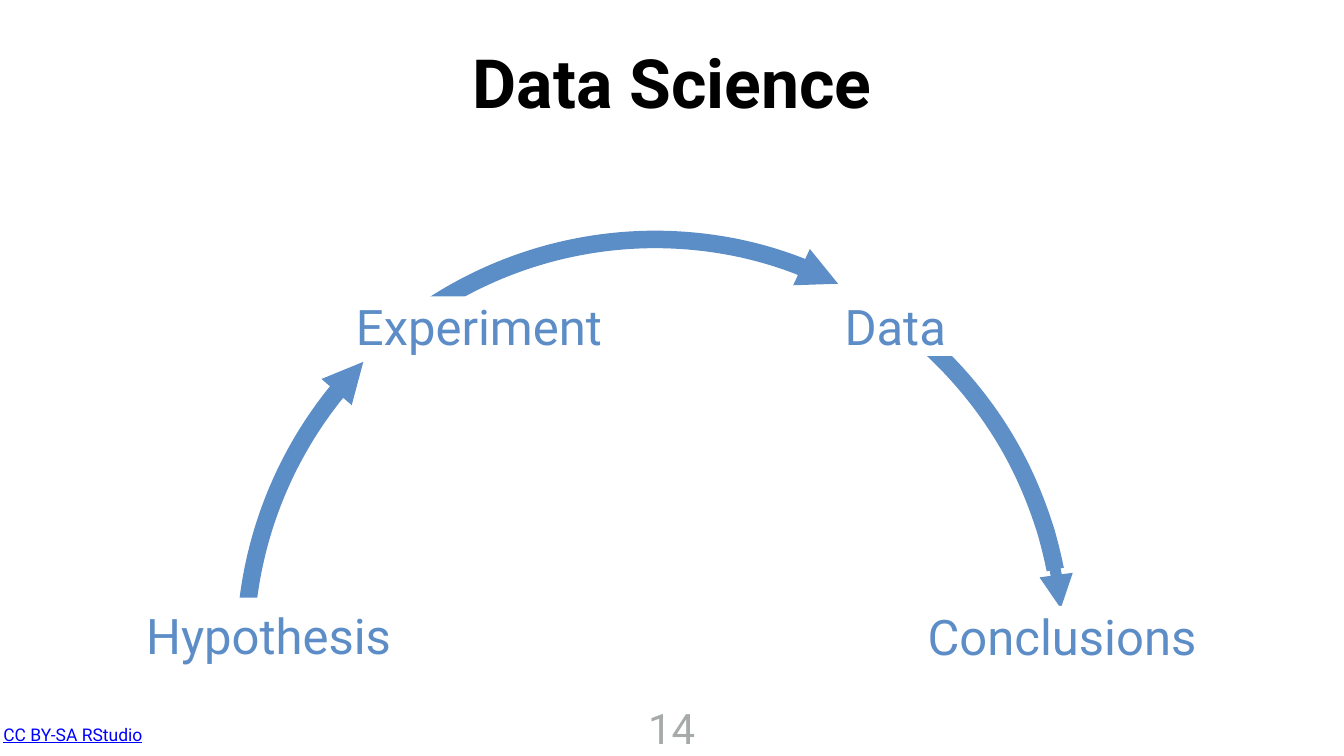
from lxml import etree
from pptx import Presentation
from pptx.dml.color import RGBColor
from pptx.enum import shapes, text
from pptx.oxml.ns import qn
from pptx.util import Inches, Pt

FONT = "Roboto"
WHITE, BLUE, ARC, HEAD = "FFFFFF", "5C8DC6", "5E8FC6", "5E8EC7"


def color(value):
    return RGBColor.from_string(value)


def write(sp, words, size, ink, inset, anchor=text.MSO_ANCHOR.MIDDLE):
    tf = sp.text_frame
    tf.word_wrap = True
    tf.vertical_anchor = anchor
    tf.margin_left = tf.margin_right = tf.margin_top = tf.margin_bottom = Inches(inset)
    p = tf.paragraphs[0]
    p.alignment = text.PP_ALIGN.CENTER
    r = p.add_run()
    r.text = words
    r.font.name, r.font.size = FONT, Pt(size)
    r.font.color.rgb = color(ink)
    return r


def add_text(s, box, *args, grow=False, **options):
    sp = s.shapes.add_textbox(*map(Inches, box))
    r = write(sp, *args, **options)
    if grow:
        sp.text_frame.word_wrap = False
        sp.text_frame.auto_size = text.MSO_AUTO_SIZE.SHAPE_TO_FIT_TEXT
    return r


def add_block(parent, box, rotation=0):
    """Add a white rectangle that hides the arc behind it."""
    sp = parent.shapes.add_shape(shapes.MSO_SHAPE.RECTANGLE, *map(Inches, box))
    sp.shadow.inherit = False
    sp.fill.solid()
    sp.fill.fore_color.rgb = color(WHITE)
    sp.line.fill.background()
    sp.rotation = rotation
    return sp


def add_outline(parent, points, close):
    points = [(Inches(x), Inches(y)) for x, y in points]
    fb = parent.shapes.build_freeform(*points[0], scale=1.0)
    fb.add_line_segments(points[1:], close=close)
    sp = fb.convert_to_shape()
    sp.shadow.inherit = False
    return sp


def bend(sp):
    """Turn each three straight segments into one cubic curve."""
    lines = list(sp._element.iter(qn("a:lnTo")))
    for i in range(0, len(lines), 3):
        curve = etree.Element(qn("a:cubicBezTo"))
        lines[i].addprevious(curve)
        for line in lines[i:i + 3]:
            curve.append(line[0])
            line.getparent().remove(line)


def add_arc(parent, knots, ink, width, arrow=False):
    """Draw a chain of cubic curves; knots holds the start, then three points per curve."""
    sp = add_outline(parent, knots, close=False)
    bend(sp)
    sp.fill.background()
    sp.line.color.rgb = color(ink)
    sp.line.width = Pt(width)
    if arrow:
        ln = sp.line._get_or_add_ln()
        etree.SubElement(ln, qn("a:tailEnd"), type="triangle")


def add_head(s, mask, rotation, corners):
    """Cut the arc with a rotated white square and put an arrowhead there."""
    group = s.shapes.add_group_shape()
    add_block(group, mask, rotation)
    sp = add_outline(group, corners, close=True)
    sp.fill.solid()
    sp.fill.fore_color.rgb = color(HEAD)
    sp.line.fill.background()


def add_label(s, words, box):
    write(add_block(s, box), words, 70, BLUE, 0.1)


def add_descent(s):
    """Draw the arc to the conclusions: a thin arrow under a thicker, shorter stroke."""
    group = s.shapes.add_group_shape()
    start = [(18.42, 6.85), (19.14, 7.51), (19.75, 8.29), (20.2, 9.17)]
    add_arc(group, start + [(20.65, 10.06), (20.95, 11.03), (21.05, 12.07)], ARC, 16, arrow=True)
    add_arc(group, start + [(20.43, 9.62), (20.61, 10.08), (20.76, 10.56),
                            (20.83, 10.81), (20.89, 11.05), (20.94, 11.3)], ARC, 25)


def add_cycle(s):
    add_arc(s, [(4.91, 12.03), (5.36, 7.91), (8.83, 4.77), (12.98, 4.75),
                (14.02, 4.75), (15.02, 4.94), (15.94, 5.31)], "5B8DC6", 25)
    add_head(s, (15.87, 4.98, 1.14, 1.13), 114.9,
             [(16.63, 5.63), (15.74, 5.66), (16.07, 4.94)])
    add_descent(s)
    add_label(s, "Conclusions", (17.73, 12.02, 6.69, 1.18))
    add_label(s, "Hypothesis", (2.25, 11.86, 6.16, 1.49))
    add_head(s, (6.5, 6.78, 1.14, 1.13), 41.5,
             [(7.21, 7.18), (6.98, 8.04), (6.38, 7.52)])
    add_label(s, "Experiment", (6.33, 5.88, 6.35, 1.18))
    add_label(s, "Data", (16.25, 5.88, 3.03, 1.18))


def add_footer(s):
    r = add_text(s, (-0.1, 14.28, 3.09, 0.57), "CC BY-SA RStudio", 25, "0000FF", 0.08, grow=True)
    r.font.underline = True
    add_text(s, (12.78, 13.85, 1.1, 1.16), "14", 60, "A6AAA9", 0.08,
             anchor=text.MSO_ANCHOR.TOP, grow=True)


def main():
    prs = Presentation()
    prs.slide_width, prs.slide_height = Inches(26.67), Inches(15)
    s = prs.slides.add_slide(prs.slide_layouts[6])
    add_cycle(s)
    add_text(s, (6.68, 0.3, 13.31, 2.62), "Data Science", 97, "000000", 0.06).font.bold = True
    add_footer(s)
    prs.save("out.pptx")


if __name__ == "__main__":
    main()
